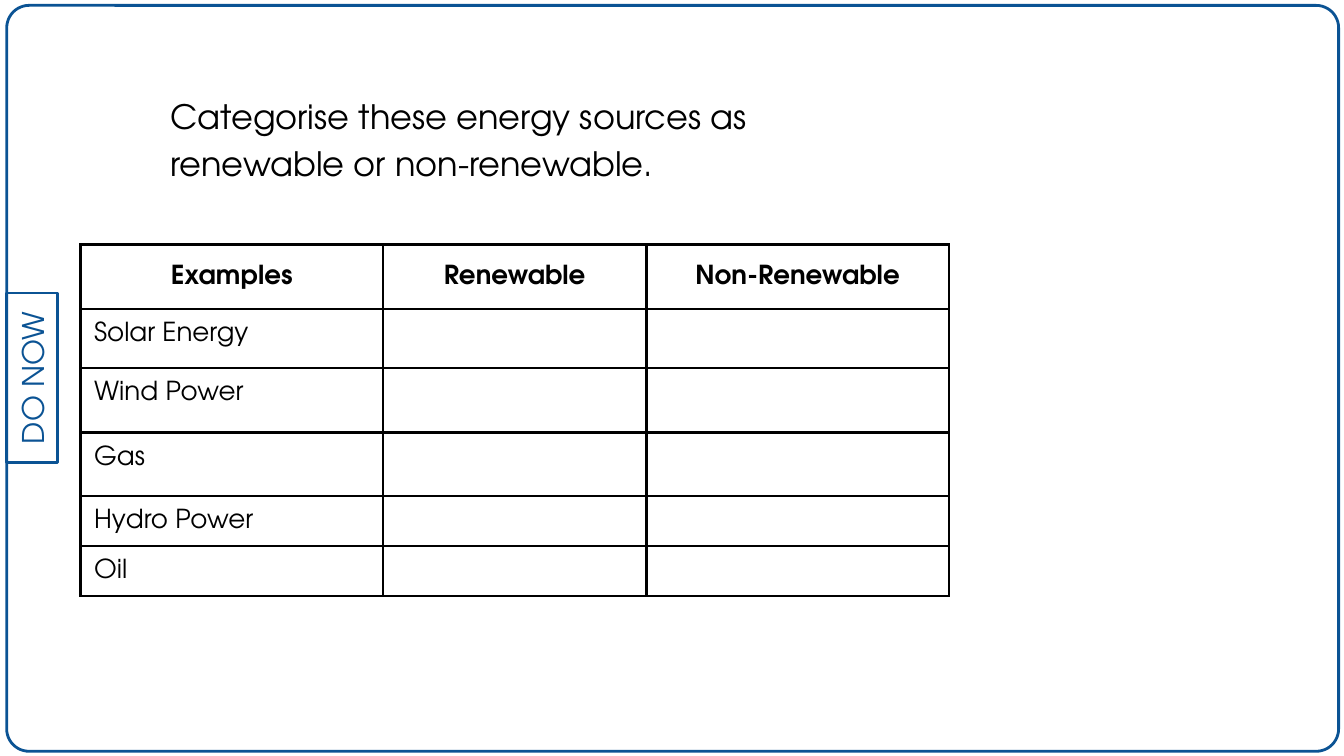
from lxml.etree import SubElement
from pptx import Presentation
from pptx.dml.color import RGBColor
from pptx.enum.shapes import MSO_SHAPE
from pptx.enum.text import MSO_ANCHOR, PP_ALIGN
from pptx.oxml.ns import qn
from pptx.util import Inches, Pt

INSTRUCTION = "Categorise these energy sources as renewable or non-renewable."
TAB_LABEL = "DO NOW"
HEADINGS = ["Examples", "Renewable", "Non-Renewable"]
SOURCES = ["Solar Energy", "Wind Power", "Gas", "Hydro Power", "Oil"]
COLUMN_WIDTHS = [2.25, 1.96, 2.25]
ROW_HEIGHTS = [0.48, 0.44, 0.48, 0.47, 0.35, 0.35]
SHORT_ROW = 0.4

THEME = {
    "font": "TeX Gyre Adventor",
    "accent": RGBColor(0x0B, 0x53, 0x94),
    "ink": RGBColor(0, 0, 0),
    "instruction": 18,
    "label": 16,
    "table": 14,
    "rule": 1.5,
    "inset": Inches(0.1),
    "short_inset": Inches(0.04),
}


def style(paragraph, size, color, bold=False):
    font = paragraph.font
    font.name, font.size, font.bold = THEME["font"], Pt(size), bold
    font.color.rgb = color


def set_insets(area):
    area.margin_left = area.margin_right = THEME["inset"]
    area.margin_top = area.margin_bottom = THEME["inset"]


def add_outline(slide, preset, *place):
    outline = slide.shapes.add_shape(preset, *map(Inches, place))
    outline.shadow.inherit = False
    outline.fill.background()
    outline.line.color.rgb = THEME["accent"]
    outline.line.width = Pt(THEME["rule"])
    return outline


def add_borders(cell):
    properties = cell._tc.get_or_add_tcPr()
    for position, side in enumerate(("lnL", "lnR", "lnT", "lnB")):
        border = properties.makeelement(qn(f"a:{side}"), {"w": str(Pt(THEME["rule"]))})
        fill = SubElement(border, qn("a:solidFill"))
        SubElement(fill, qn("a:srgbClr"), val=str(THEME["ink"]))
        properties.insert(position, border)


def add_frame(slide):
    frame = add_outline(slide, MSO_SHAPE.ROUNDED_RECTANGLE, 0.05, 0.04, 9.91, 5.55)
    frame.adjustments[0] = 0.03
    tab = add_outline(slide, MSO_SHAPE.RECTANGLE, -0.39, 2.62, 1.26, 0.38)
    tab.rotation = 270
    label = tab.text_frame
    set_insets(label)
    label.vertical_anchor = MSO_ANCHOR.MIDDLE
    label.text = TAB_LABEL
    label.paragraphs[0].alignment = PP_ALIGN.CENTER
    style(label.paragraphs[0], THEME["label"], THEME["accent"])


def add_instruction(slide):
    instruction = slide.shapes.add_textbox(*map(Inches, (1.17, 0.57, 5.6, 4.48))).text_frame
    instruction.word_wrap = True
    set_insets(instruction)
    instruction.text = INSTRUCTION
    instruction.paragraphs[0].line_spacing = 1.15
    style(instruction.paragraphs[0], THEME["instruction"], THEME["ink"])


def add_sorting_table(slide):
    rows = [HEADINGS] + [[source, "", ""] for source in SOURCES]
    size = (sum(COLUMN_WIDTHS), sum(ROW_HEIGHTS))
    table = slide.shapes.add_table(
        len(rows), len(HEADINGS), *map(Inches, (0.6, 1.82, *size))
    ).table
    table.horz_banding = False
    for column, width in zip(table.columns, COLUMN_WIDTHS):
        column.width = Inches(width)
    for row, height, texts in zip(table.rows, ROW_HEIGHTS, rows):
        row.height = Inches(height)
        heading = texts is HEADINGS
        for cell, text in zip(row.cells, texts):
            cell.text = text
            cell.fill.background()
            set_insets(cell)
            if height < SHORT_ROW:
                cell.margin_bottom = THEME["short_inset"]
            add_borders(cell)
            cell.vertical_anchor = MSO_ANCHOR.MIDDLE if heading else MSO_ANCHOR.TOP
            entry = cell.text_frame.paragraphs[0]
            entry.alignment = PP_ALIGN.CENTER if heading else PP_ALIGN.LEFT
            style(entry, THEME["table"], THEME["ink"], heading)
            if not text:
                SubElement(entry._p, qn("a:endParaRPr"), sz=str(THEME["table"] * 100))


presentation = Presentation()
presentation.slide_width = Inches(10)
presentation.slide_height = presentation.slide_width * 9 // 16
slide = presentation.slides.add_slide(presentation.slide_layouts[6])
add_frame(slide)
add_instruction(slide)
add_sorting_table(slide)
presentation.save("out.pptx")
